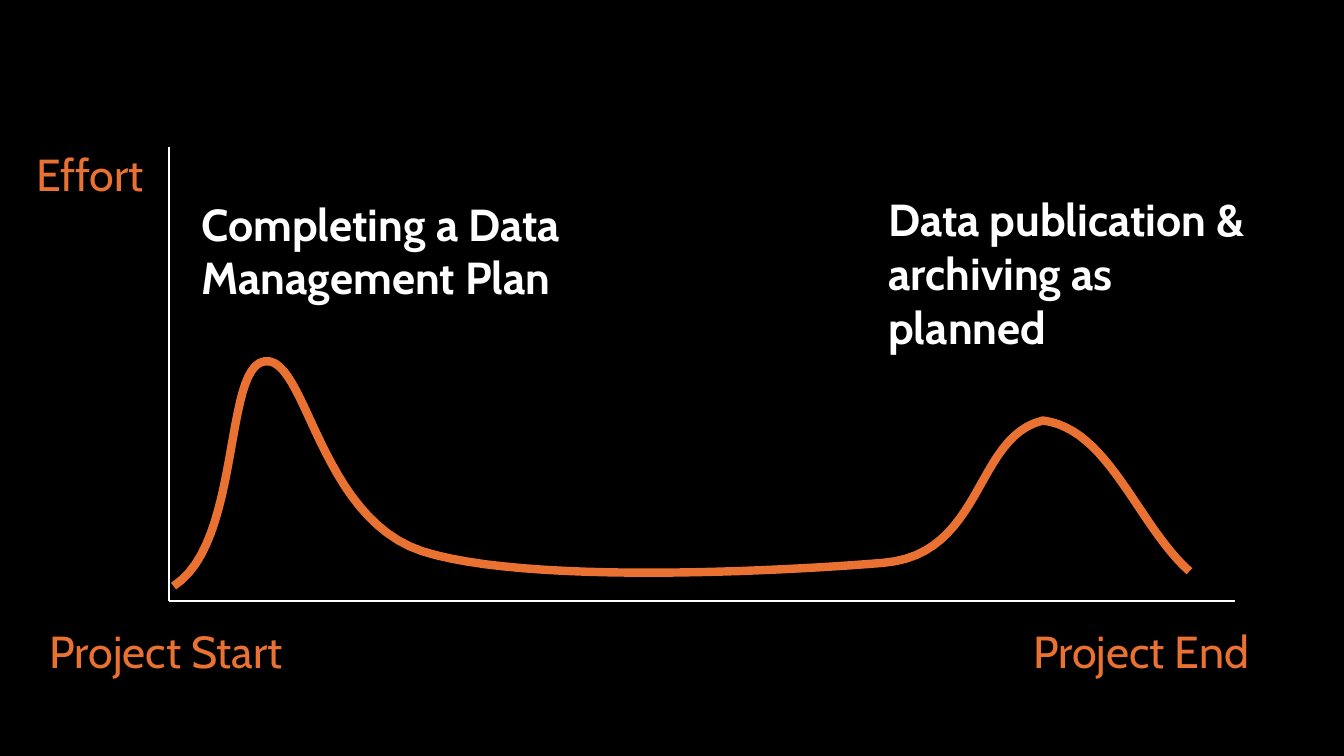
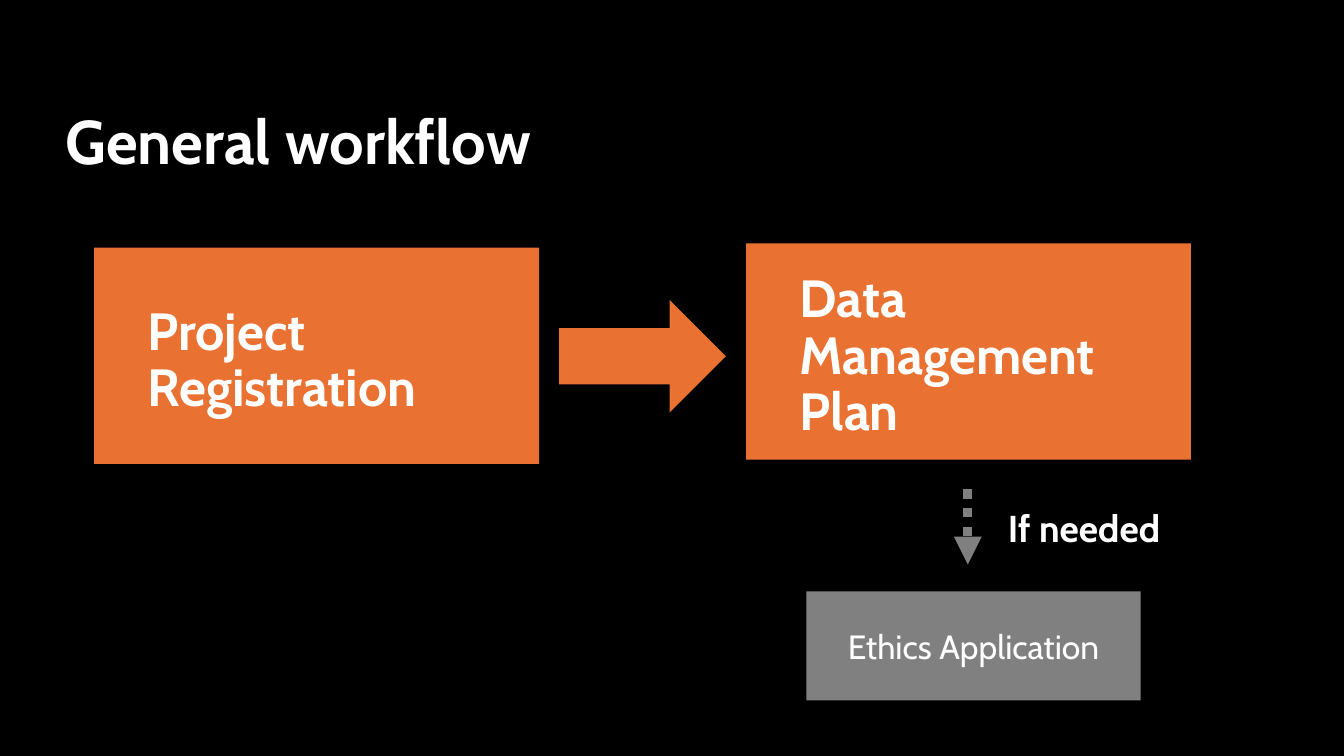
"""Build two slides on research data planning: an effort curve and a workflow."""
from collections import namedtuple

from lxml.etree import SubElement
from pptx import Presentation
from pptx.dml.color import RGBColor
from pptx.enum.dml import MSO_LINE
from pptx.enum.shapes import MSO_CONNECTOR, MSO_SHAPE
from pptx.enum.text import MSO_ANCHOR, PP_ALIGN
from pptx.oxml.ns import qn
from pptx.util import Cm, Pt

COLOURS = {
    "background": "000000",
    "text": "FFFFFF",
    "accent": "E97132",
    "optional": "808080",
}
FONT = "Cabin"
CURVE_STEPS = 24
EFFORT_START = (0.08, 8.31)
EFFORT_CURVES = [
    [(1.37, 7.49), (1.02, 4.17), (1.8, 4.06)],
    [(2.59, 3.94), (2.82, 7.01), (4.78, 7.65)],
    [(6.73, 8.28), (11.56, 8.03), (13.49, 7.87)],
    [(15.39, 7.72), (15.21, 5.49), (16.51, 5.18)],
    [(17.75, 5.33), (18.29, 7.14), (19.28, 8.03)],
]


class Box(namedtuple("Box", "left top width height")):
    """A rectangle in centimetres."""

    def inner(self, left, top, width, height):
        """Return a box placed relative to this one."""
        return Box(self.left + left, self.top + top, width, height)

    def lengths(self):
        """Return the four sides as slide lengths."""
        return [Cm(side) for side in self]


def colour(name):
    """Look up a colour of the deck."""
    return RGBColor.from_string(COLOURS[name])


def add_page(deck):
    """Add a blank page with the shared background."""
    page = deck.slides.add_slide(deck.slide_layouts[6])
    page.background.fill.solid()
    page.background.fill.fore_color.rgb = colour("background")
    return page


def write(frame, text, size, ink="text", bold=False):
    """Write one styled run into the first paragraph of a frame."""
    frame.word_wrap = True
    para = frame.paragraphs[0]
    span = para.add_run()
    span.text = text
    span.font.name = FONT
    span.font.size = Pt(size)
    span.font.bold = bold
    span.font.color.rgb = colour(ink)
    return para


def add_label(page, box, text, ink="text", bold=False):
    """Add a chart label without margins."""
    frame = page.shapes.add_textbox(*box.lengths()).text_frame
    frame.margin_left = frame.margin_top = 0
    frame.margin_right = frame.margin_bottom = 0
    write(frame, text, 24, ink, bold)


def add_heading(page, box, text, size):
    """Add a bold heading centred vertically in its box."""
    frame = page.shapes.add_textbox(*box.lengths()).text_frame
    frame.vertical_anchor = MSO_ANCHOR.MIDDLE
    write(frame, text, size, bold=True).line_spacing = 0.9


def add_block(page, box, kind, fill):
    """Add a filled shape without outline or shadow."""
    block = page.shapes.add_shape(kind, *box.lengths())
    block.shadow.inherit = False
    block.fill.solid()
    block.fill.fore_color.rgb = colour(fill)
    block.line.fill.background()
    return block


def add_line(page, start, end, ink, width):
    """Add a straight connector without shadow."""
    ends = [Cm(value) for value in (*start, *end)]
    line = page.shapes.add_connector(MSO_CONNECTOR.STRAIGHT, *ends)
    line.line.color.rgb = colour(ink)
    line.line.width = Pt(width)
    SubElement(line._element.spPr, qn("a:effectLst"))
    return line


def bezier(points, t):
    """Return the point at t on a cubic curve."""
    s = 1 - t
    weights = (s**3, 3 * s * s * t, 3 * s * t * t, t**3)
    return tuple(sum(w * p[axis] for w, p in zip(weights, points)) for axis in (0, 1))


def add_effort_curve(page, box):
    """Trace the effort over the project inside the axes."""
    points = [EFFORT_START]
    for curve in EFFORT_CURVES:
        controls = [points[-1], *curve]
        points += [bezier(controls, step / CURVE_STEPS) for step in range(1, CURVE_STEPS + 1)]
    places = [(Cm(box.left + x), Cm(box.top + y)) for x, y in points]
    builder = page.shapes.build_freeform(*places[0])
    builder.add_line_segments(places[1:], close=False)
    effort = builder.convert_to_shape()
    effort.shadow.inherit = False
    effort.fill.background()
    effort.line.color.rgb = colour("accent")
    effort.line.width = Pt(4.5)


def add_effort_chart(page, box):
    """Draw the axes, their labels, the curve and its two peaks."""
    base = box.top + box.height
    origin = (box.left, base)
    add_line(page, origin, (box.left + box.width, base), "text", 1)
    add_line(page, origin, (box.left, box.top), "text", 1)
    add_label(page, box.inner(-2.51, 0, 2.39, 0.94), "Effort", "accent")
    for left, text in ((-2.26, "Project Start"), (16.33, "Project End")):
        add_label(page, box.inner(left, 9.02, 5.28, 0.94), text, "accent")
    add_effort_curve(page, box)
    add_label(page, box.inner(0.61, 0.94, 7.52, 2.72),
              "Completing a Data Management Plan", bold=True)
    add_label(page, box.inner(13.59, 0.86, 6.81, 3.51),
              "Data publication & archiving as planned", bold=True)


def add_step(page, box, text):
    """Add one main step of the workflow."""
    add_block(page, box, MSO_SHAPE.RECTANGLE, "accent")
    add_heading(page, box.inner(0.76, 0.77, 7.29, 2.77), text, 28)


def add_optional_step(page, box):
    """Add the dotted arrow and the step taken only if needed."""
    arrow = add_line(page, (box.left + 3.05, box.top - 1.93),
                     (box.left + 3.05, box.top - 0.51), "optional", 5)
    arrow.line.dash_style = MSO_LINE.ROUND_DOT
    SubElement(arrow._element.spPr.find(qn("a:ln")), qn("a:tailEnd"), type="triangle")
    add_heading(page, box.inner(3.56, -1.73, 4.22, 1.14), "If needed", 20)
    block = add_block(page, box, MSO_SHAPE.RECTANGLE, "optional")
    block.text_frame.vertical_anchor = MSO_ANCHOR.MIDDLE
    write(block.text_frame, "Ethics Application", 18).alignment = PP_ALIGN.CENTER


def add_workflow(page, box):
    """Lay out the workflow steps and the arrow between them."""
    add_step(page, box.inner(0, 0.08, 8.41, 4.09), "Project Registration")
    add_block(page, box.inner(8.79, 1.07, 3.15, 2.13), MSO_SHAPE.RIGHT_ARROW, "accent")
    add_step(page, box.inner(12.32, 0, 8.41, 4.09), "Data Management Plan")
    add_optional_step(page, box.inner(13.46, 6.58, 6.32, 2.06))


def main():
    """Build and save the deck."""
    deck = Presentation()
    deck.slide_width, deck.slide_height = Cm(25.4), Cm(14.29)
    add_effort_chart(add_page(deck), Box(3.2, 2.77, 20.14, 8.59))
    page = add_page(deck)
    add_heading(page, Box(0.99, 1.35, 12.75, 2.77), "General workflow", 33)
    add_workflow(page, Box(1.78, 4.6, 20.73, 8.64))
    deck.save("out.pptx")


if __name__ == "__main__":
    main()
